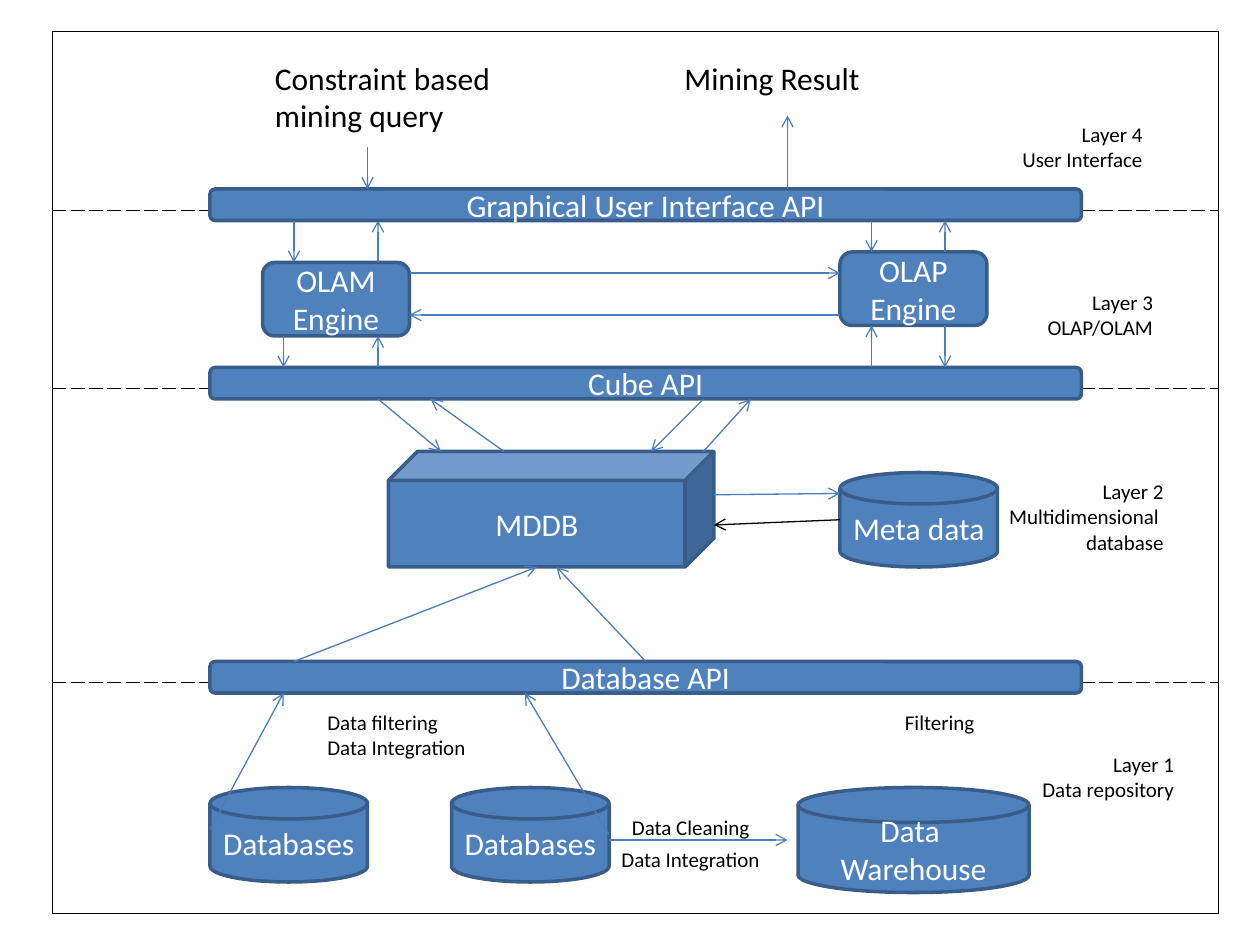
from lxml import etree
from pptx import Presentation, util as u
from pptx.dml.color import RGBColor
from pptx.enum import shapes, text
from pptx.oxml.ns import qn

PX = u.Inches(1) // 96
FONT = "Calibri"
COLORS = {"fill": "4F81BD", "edge": "385D8A", "arrow": "4A7EBB",
          "ink": "000000", "white": "FFFFFF"}
KIND = shapes.MSO_SHAPE
LEFT, CENTER, RIGHT = (text.PP_ALIGN.LEFT, text.PP_ALIGN.CENTER,
                       text.PP_ALIGN.RIGHT)
BAR_X, BAR_W, BAR_H = 160, 664, 24
GUI_Y, CUBE_Y, DB_Y = 144, 280, 504
ROWS = [136, 136, 136, 88, 176]
DASHED_BELOW = {0, 1, 3}  # rows with a dashed layer boundary under them


def px(*values):
    return [v * PX for v in values]


def rgb(name):
    return RGBColor.from_string(COLORS[name])


def write(tf, content, size=18, color="ink", align=LEFT,
          anchor=text.MSO_ANCHOR.TOP):
    tf.word_wrap = True
    tf.vertical_anchor = anchor
    for i, line in enumerate(content.split("\n")):
        p = tf.paragraphs[0] if i == 0 else tf.add_paragraph()
        p.alignment = align
        r = p.add_run()
        r.text = line
        r.font.size = u.Pt(size)
        r.font.name = FONT
        r.font.color.rgb = rgb(color)


def add_label(s, content, x, y, w, h, **fmt):
    write(s.shapes.add_textbox(*px(x, y, w, h)).text_frame, content, **fmt)


def add_node(s, kind, content, x, y, w, h):
    sp = s.shapes.add_shape(kind, *px(x, y, w, h))
    sp.shadow.inherit = False
    sp.fill.solid()
    sp.fill.fore_color.rgb = rgb("fill")
    sp.line.color.rgb = rgb("edge")
    sp.line.width = u.Pt(2)
    write(sp.text_frame, content, color="white", align=CENTER,
          anchor=text.MSO_ANCHOR.MIDDLE)
    return sp


def add_arrow(s, x1, y1, x2, y2, color="arrow"):
    cx = s.shapes.add_connector(shapes.MSO_CONNECTOR.STRAIGHT,
                                *px(x1, y1, x2, y2))
    cx.line.color.rgb = rgb(color)
    cx.line.width = u.Pt(0.75)
    etree.SubElement(cx.line._get_or_add_ln(), qn("a:tailEnd"), type="arrow")
    etree.SubElement(cx._element.spPr, qn("a:effectLst"))
    return cx


def set_border(cell, side, style):
    """Draw one cell edge; a style of None leaves it open."""
    ln = etree.SubElement(cell._tc.get_or_add_tcPr(), qn(f"a:ln{side}"),
                          w=str(u.Pt(0.45)))
    if style is None:
        etree.SubElement(ln, qn("a:noFill"))
        return
    fill = etree.SubElement(ln, qn("a:solidFill"))
    etree.SubElement(fill, qn("a:srgbClr"), val=COLORS["ink"])
    etree.SubElement(ln, qn("a:prstDash"), val=style)


def add_layer_frame(s):
    n_rows, n_cols = len(ROWS), 3
    tbl = s.shapes.add_table(n_rows, n_cols, *px(40, 24, 888, sum(ROWS))).table
    tbl.first_row = tbl.horz_banding = False
    for row, height in zip(tbl.rows, ROWS):
        row.height = height * PX
    edges = ["solid"] + ["dash" if i in DASHED_BELOW else None
                         for i in range(n_rows - 1)] + ["solid"]
    for i in range(n_rows):
        for j in range(n_cols):
            cell = tbl.cell(i, j)
            set_border(cell, "L", "solid" if j == 0 else None)
            set_border(cell, "R", "solid" if j == n_cols - 1 else None)
            set_border(cell, "T", edges[i])
            set_border(cell, "B", edges[i + 1])
            cell.fill.background()


def add_nodes(s):
    """Add the bars, engines and stores; return the Database API bar."""
    for content, y in [("Graphical User Interface API", GUI_Y),
                       ("Cube API", CUBE_Y), ("Database API", DB_Y)]:
        bar = add_node(s, KIND.ROUNDED_RECTANGLE, content,
                       BAR_X, y, BAR_W, BAR_H)
    for content, x, y in [("OLAM Engine", 200, 200), ("OLAP Engine", 640, 192)]:
        add_node(s, KIND.ROUNDED_RECTANGLE, content, x, y, 112, 56)
    add_node(s, KIND.CUBE, "MDDB", 296, 344, 248, 88)
    for content, x, y, w, h in [("Meta data", 640, 360, 120, 72),
                                ("Databases", 160, 600, 120, 72),
                                ("Databases", 344, 600, 120, 72),
                                ("Data \nWarehouse", 608, 600, 176, 80)]:
        add_node(s, KIND.FLOWCHART_MAGNETIC_DISK, content, x, y, w, h)
    return bar


def add_labels(s):
    add_label(s, "Constraint based mining query", 200, 40, 200, 67)
    add_label(s, "Mining Result", 512, 40, 200, 38)
    for content, x, y, h in [
            ("Layer 4\nUser Interface", 680, 88, 48),
            ("Layer 3\nOLAP/OLAM", 688, 216, 48),
            ("Layer 2\nMultidimensional \ndatabase", 696, 360, 67),
            ("Layer 1\nData repository", 704, 568, 48)]:
        add_label(s, content, x, y, 200, h, size=12, align=RIGHT)
    for content, x, y, w, h in [
            ("Data Cleaning", 472, 616, 120, 29),
            ("Data Integration", 464, 640, 136, 29),
            ("Data filtering\nData Integration", 240, 536, 136, 48),
            ("Filtering", 680, 536, 136, 29)]:
        add_label(s, content, x, y, w, h, size=12)


def add_arrows(s, database_api):
    gui_bottom, cube_bottom, db_bottom = (y + BAR_H
                                          for y in (GUI_Y, CUBE_Y, DB_Y))
    for ends in [
            # query in, result out
            (280, 112, 280, GUI_Y), (600, GUI_Y, 600, 88),
            # interface and engines
            (224, gui_bottom, 224, 200), (288, 200, 288, gui_bottom),
            (664, gui_bottom, 664, 192), (720, 192, 720, gui_bottom),
            (312, 208, 640, 208), (640, 240, 312, 240),
            # engines and cube
            (216, 256, 216, CUBE_Y), (288, CUBE_Y, 288, 256),
            (664, CUBE_Y, 664, 248), (720, 248, 720, CUBE_Y),
            # cube and multidimensional store
            (288, cube_bottom, 336, 344), (384, 344, 328, cube_bottom),
            (536, cube_bottom, 496, 344), (536, 344, 572, cube_bottom),
            (544, 377, 640, 376),
            # repositories
            (224, DB_Y, 409, 432), (160, 632, 216, db_bottom),
            (464, 636, 400, db_bottom), (464, 640, 600, 640)]:
        add_arrow(s, *ends)
    add_arrow(s, 640, 396, 544, 400, color="ink")
    cx = add_arrow(s, 492, DB_Y, 424, 432)
    cx.begin_connect(database_api, 0)


def main():
    prs = Presentation()
    prs.slide_width, prs.slide_height = px(960, 720)
    s = prs.slides.add_slide(prs.slide_layouts[6])
    add_layer_frame(s)
    database_api = add_nodes(s)
    add_labels(s)
    add_arrows(s, database_api)
    prs.save("out.pptx")


if __name__ == "__main__":
    main()
